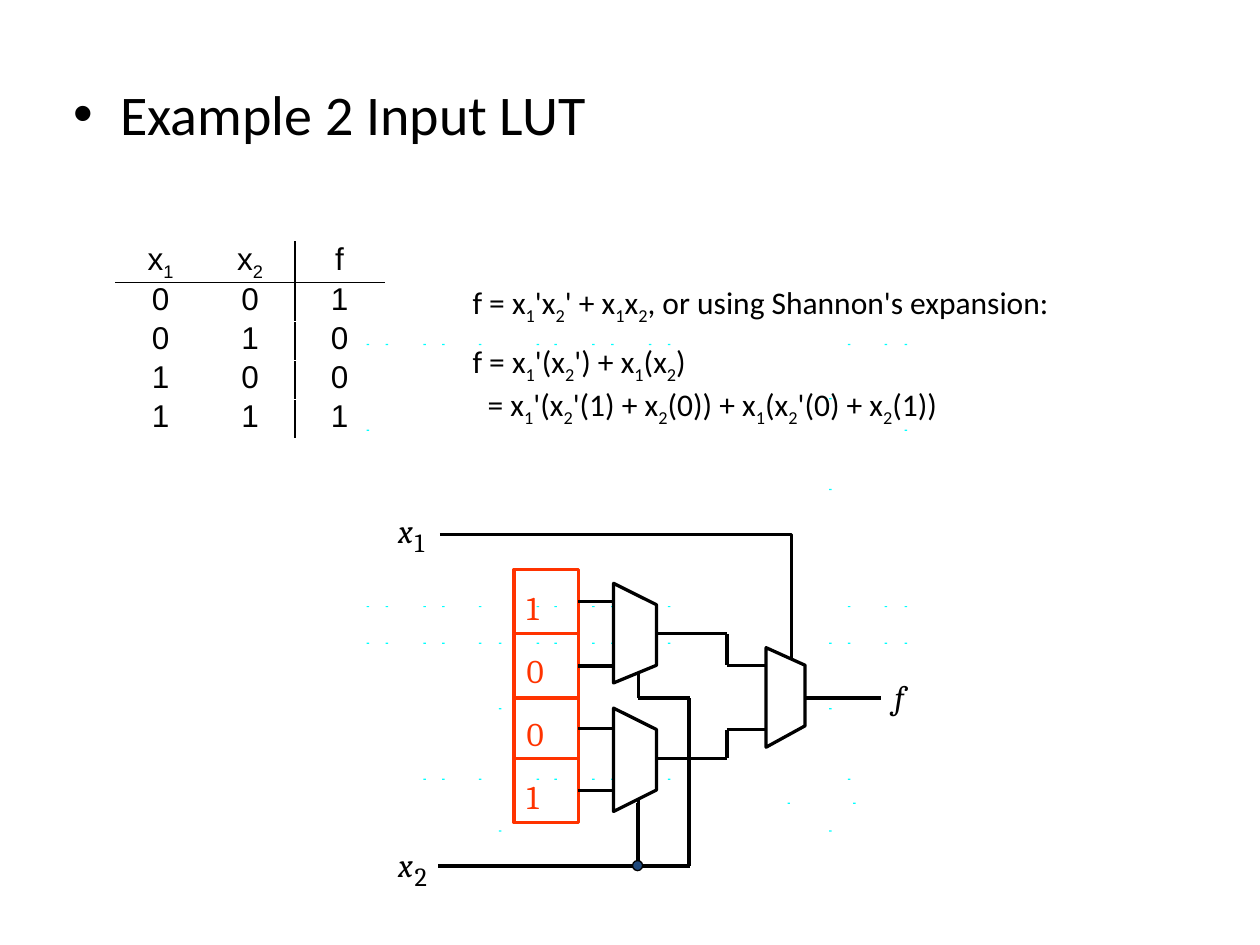
from lxml import etree
from pptx import Presentation
from pptx.dml.color import RGBColor
from pptx.enum.shapes import MSO_CONNECTOR, MSO_SHAPE
from pptx.enum.text import MSO_ANCHOR, MSO_AUTO_SIZE, PP_ALIGN
from pptx.oxml.ns import qn
from pptx.util import Inches, Pt

LINE = MSO_CONNECTOR.STRAIGHT
RECT = MSO_SHAPE.RECTANGLE
OVAL = MSO_SHAPE.OVAL
TOP = MSO_ANCHOR.TOP
GROW = MSO_AUTO_SIZE.SHAPE_TO_FIT_TEXT
MID = PP_ALIGN.CENTER
HEX = {"ink": "000000", "red": "FF3300", "dot": "1F497D",
       "cyan": "00FFFF", "paper": "FFFFFF"}

COLS = [3.36, 3.51, 3.8, 4.26, 4.4, 4.7, 4.85, 5.15, 5.3, 6.73]
WIDE = [2.91, 3.06] + COLS + [7.02, 7.18]
SPECKS = {2.73: WIDE, 3.16: [6.58], 3.41: [2.91, 7.18], 3.88: [6.58],
          4.81: WIDE, 5.1: WIDE + [3.96, 6.58], 5.62: [3.96, 6.58],
          6.18: COLS, 6.37: [6.25, 6.77], 6.59: [3.96, 6.58]}
TRUTH = ["x_1 x_2 f", "0 0 1", "0 1 0", "1 0 0", "1 1 1"]
RULES = ["f = x_1'x_2' + x_1x_2, or using Shannon's expansion:",
         "f = x_1'(x_2') + x_1(x_2)\v"
         "= x_1'(x_2'(1) + x_2(0)) + x_1(x_2'(0) + x_2(1))"]
BITS = [("1", 4.52, 0.51, 4.66), ("0", 5.03, 0.51, 5.16),
        ("0", 5.54, 0.48, 5.66), ("1", 6.02, 0.51, 6.16)]
WIRES = [(5.77, 5.03, 5.21, 5.03), (5.77, 5.03, 5.77, 5.28),
         (5.77, 5.28, 6.08, 5.28), (5.77, 6.02, 5.21, 6.02),
         (5.77, 6.02, 5.77, 5.79), (5.77, 5.79, 6.08, 5.79),
         (6.99, 5.54, 6.39, 5.54), (5.07, 5.54, 5.07, 5.34),
         (5.07, 6.52, 5.07, 6.33)]
BUS = [(3.48, 6.87, 5.48, 6.87), (5.06, 6.37, 5.06, 6.87),
       (5.47, 6.87, 5.47, 5.54), (5.48, 5.54, 5.06, 5.54)]
MUXES = [(4.87, 5.21, 4.63, 4.8, 5.28, 5.42),
         (4.87, 5.21, 5.62, 5.79, 6.27, 6.44),
         (6.08, 6.39, 5.14, 5.28, 5.76, 5.93)]


def rgb(name):
    return RGBColor.from_string(HEX[name])


def style(font, face, size, ink="ink"):
    font.name, font.size = face, Pt(size)
    font.color.rgb = rgb(ink)


def write(par, text, face, size):
    for row, line in enumerate(text.split("\v")):
        if row:
            par.add_line_break()
        first, *rest = line.split("_")
        parts = [(first, False)]
        for part in rest:
            parts += [(part[0], True), (part[1:], False)]
        for words, low in parts:
            if words:
                run = par.add_run()
                run.text = words
                style(run.font, face, size)
                if low:
                    run.font._element.set("baseline", "-25000")


def paint(shape, fill=None, ink=None, width=1.88):
    shape.shadow.inherit = False
    if fill:
        shape.fill.solid()
        shape.fill.fore_color.rgb = rgb(fill)
    else:
        shape.fill.background()
    if ink:
        shape.line.color.rgb = rgb(ink)
        shape.line.width = Pt(width)
    else:
        shape.line.fill.background()


def block(slide, kind, box, *look):
    shape = slide.shapes.add_shape(kind, *map(Inches, box))
    paint(shape, *look)
    return shape


def wire(slide, ends, width=1.88):
    link = slide.shapes.add_connector(LINE, *map(Inches, ends))
    link.line.color.rgb = rgb("ink")
    link.line.width = Pt(width)
    etree.SubElement(link._element.spPr, qn("a:effectLst"))
    return link


def path(slide, points, close=False, fill=None):
    spots = [(Inches(x), Inches(y)) for x, y in points]
    pen = slide.shapes.build_freeform(*spots[0], scale=1.0)
    pen.add_line_segments(spots[1:], close=close)
    paint(pen.convert_to_shape(), fill, "ink")


def frame(slide, box, wrap):
    text = slide.shapes.add_textbox(*map(Inches, box)).text_frame
    text.margin_left = text.margin_right = 0
    text.margin_top = text.margin_bottom = 0
    text.word_wrap = wrap
    text.auto_size = GROW
    return text


def label(slide, text, x, y, size=19, ink="ink", slant=False):
    box = (x, y, 0.27, 0.32) if size == 19 else (x, y, 0.21, 0.25)
    area = frame(slide, box, False)
    area.text = text
    font = area.paragraphs[0].runs[0].font
    style(font, "Cambria", size, ink)
    font.italic = slant


def edge(cell, side):
    line = etree.SubElement(cell._tc.get_or_add_tcPr(), qn("a:ln" + side),
                            w=str(Pt(1)))
    fill = etree.SubElement(line, qn("a:solidFill"))
    etree.SubElement(fill, qn("a:srgbClr"), val=HEX["ink"])


def head(slide):
    slide.shapes.title._element.getparent().remove(slide.shapes.title._element)
    body = slide.placeholders[1]
    body.left, body.top = Inches(0.48), Inches(0.58)
    body.width, body.height = Inches(9), Inches(6.67)
    body.text_frame.text = "Example 2 Input LUT"
    par = body.text_frame.paragraphs[0]
    par.space_before = Pt(0)
    style(par.runs[0].font, "Calibri", 32)


def truth(slide):
    box = map(Inches, (0.92, 1.92, 2.13, 1.55))
    table = slide.shapes.add_table(len(TRUTH), 3, *box).table
    table.first_row = table.horz_banding = False
    for r, line in enumerate(TRUTH):
        table.rows[r].height = Inches(0.31)
        for c, text in enumerate(line.split()):
            cell = table.cell(r, c)
            cell.margin_left = cell.margin_right = 0
            cell.margin_top = cell.margin_bottom = 0
            cell.vertical_anchor = TOP
            sides = {"L": c == 2, "R": c == 1, "T": r == 1, "B": r == 0}
            for side, shown in sides.items():
                if shown:
                    edge(cell, side)
            cell.fill.background()
            par = cell.text_frame.paragraphs[0]
            par.alignment = MID
            write(par, text, "Arial", 18)


def rules(slide):
    area = frame(slide, (3.75, 2.25, 5.92, 1.06), True)
    write(area.paragraphs[0], RULES[0], "Calibri", 18)
    par = area.add_paragraph()
    par.space_before = Pt(9)
    props = par._p.get_or_add_pPr()
    props.set("marL", str(Inches(0.12)))
    props.set("indent", str(-Inches(0.12)))
    write(par, RULES[1], "Calibri", 18)


def circuit(slide):
    for bit, y, tall, base in BITS:
        cell = block(slide, RECT, (4.08, y, 0.51, tall), None, "red")
        mid = y + tall / 2
        wire(slide, (4.59, mid, 4.87, mid)).begin_connect(cell, 3)
        label(slide, bit, 4.18, base, ink="red")
    for ends in WIRES:
        wire(slide, ends)
    for x, right, top, upper, lower, low in MUXES:
        path(slide, [(right, upper), (right, lower), (x, low), (x, top)],
             True, "paper")
    path(slide, [(3.49, 4.24), (6.28, 4.24), (6.28, 5.23)])
    for ends in BUS:
        wire(slide, ends, 2.25)
    block(slide, OVAL, (5.02, 6.83, 0.08, 0.08), "dot", "ink", 0.75)
    for digit, y in (("1", 4.05), ("2", 6.7)):
        label(slide, "x", 3.16, y, slant=True)
        label(slide, digit, 3.29, y + 0.13, 15)
    label(slide, "f", 7.1, 5.37, slant=True)


def main():
    deck = Presentation()
    deck.slide_width, deck.slide_height = Inches(10), Inches(7.5)
    slide = deck.slides.add_slide(deck.slide_layouts[1])
    head(slide)
    for y, row in SPECKS.items():
        for x in row:
            block(slide, RECT, (x, y, 0.02, 0.01), "cyan")
    truth(slide)
    rules(slide)
    circuit(slide)
    deck.save("out.pptx")


if __name__ == "__main__":
    main()
